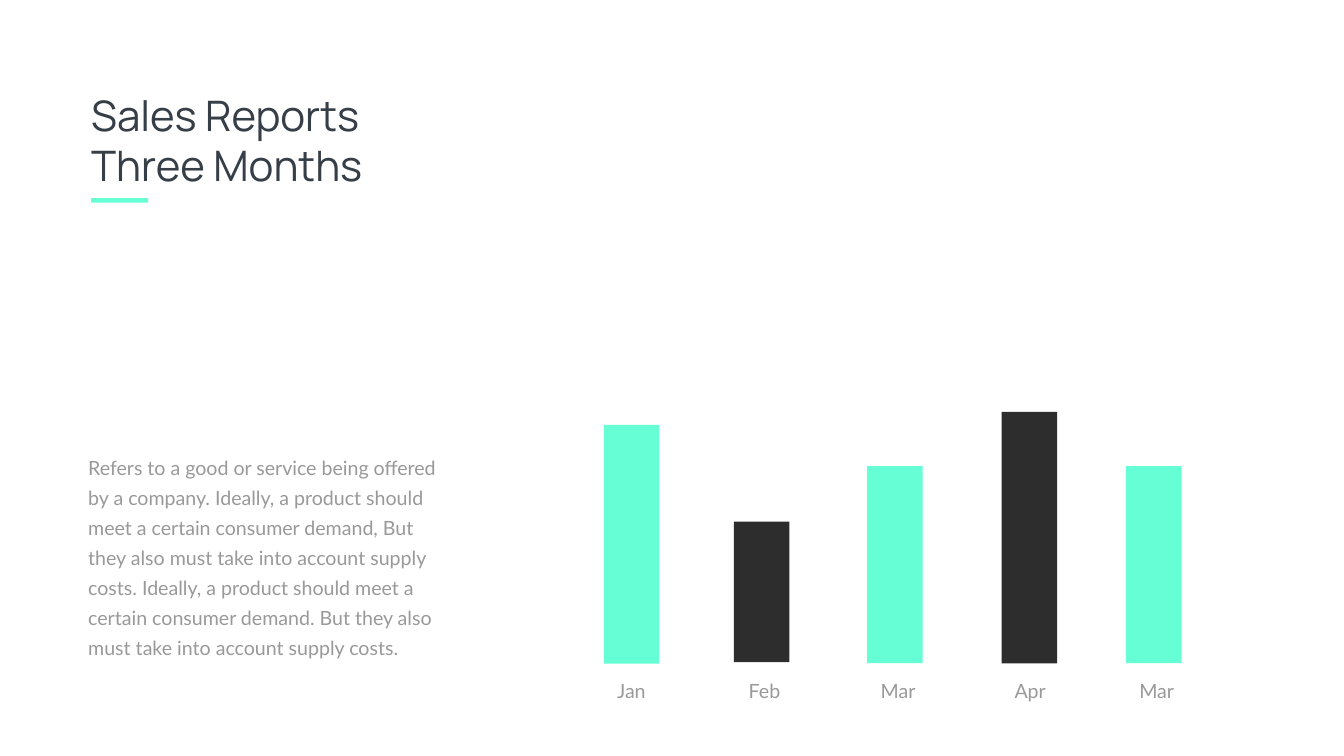
from dataclasses import dataclass

import pptx
import pptx.dml.color
import pptx.enum.shapes
import pptx.enum.text
import pptx.util
from pptx.util import Inches

MINT = "66FFD5"
CHARCOAL = "2C2D2C"
GREY = "999999"
SLATE = "363E48"

BAR_WIDTH = 1.1
LABEL_TOP, LABEL_WIDTH, LABEL_HEIGHT = 13.37, 1.69, 0.54


@dataclass
class Month:
    name: str
    bar_left: float
    bar_top: float
    bar_height: float
    label_left: float
    color: str


MONTHS = [
    Month("Jan", 11.98, 8.43, 4.74, 11.63, MINT),
    Month("Feb", 14.56, 10.35, 2.79, 14.27, CHARCOAL),
    Month("Mar", 17.2, 9.25, 3.91, 16.92, MINT),
    Month("Apr", 19.87, 8.17, 4.99, 19.54, CHARCOAL),
    Month("Mar", 22.34, 9.25, 3.91, 22.05, MINT),
]

DESCRIPTION = (
    "Refers to a good or service being offered by a company. Ideally, a product "
    "should meet a certain consumer demand, But they also must take into account "
    "supply costs. Ideally, a product should meet a certain consumer demand. But "
    "they also must take into account supply costs."
)


def rgb(color: str) -> pptx.dml.color.RGBColor:
    return pptx.dml.color.RGBColor.from_string(color)


def add_bar(page, left: float, top: float, width: float, height: float, color: str):
    bar = page.shapes.add_shape(
        pptx.enum.shapes.MSO_SHAPE.RECTANGLE,
        Inches(left), Inches(top), Inches(width), Inches(height),
    )
    bar.shadow.inherit = False
    bar.fill.solid()
    bar.fill.fore_color.rgb = rgb(color)
    bar.line.fill.background()


def add_text(page, text: str, left: float, top: float, width: float, height: float,
             margins: tuple[float, float, float, float] = (0.1, 0.05, 0.1, 0.05),
             font: str = "Lato", size: float = 28, color: str = GREY):
    """Add a wrapped one-paragraph box; margins run left, top, right, bottom."""
    box = page.shapes.add_textbox(Inches(left), Inches(top), Inches(width), Inches(height))
    frame = box.text_frame
    frame.word_wrap = True
    frame.margin_left, frame.margin_top, frame.margin_right, frame.margin_bottom = map(
        Inches, margins)
    frame.text = text
    for span in frame.paragraphs[0].runs:
        span.font.name = font
        span.font.size = pptx.util.Pt(size)
        span.font.color.rgb = rgb(color)
    return box


def add_month(page, month: Month):
    add_bar(page, month.bar_left, month.bar_top, BAR_WIDTH, month.bar_height, month.color)
    label = add_text(page, month.name, month.label_left, LABEL_TOP, LABEL_WIDTH,
                     LABEL_HEIGHT, margins=(0.1, 0, 0, 0))
    label.text_frame.vertical_anchor = pptx.enum.text.MSO_ANCHOR.MIDDLE
    para = label.text_frame.paragraphs[0]
    para.alignment = pptx.enum.text.PP_ALIGN.CENTER
    para.line_spacing = 1.3


def main():
    deck = pptx.Presentation()
    deck.slide_width, deck.slide_height = Inches(26.66), Inches(15)
    page = deck.slides.add_slide(deck.slide_layouts[6])

    add_text(page, "Sales Reports Three Months", 1.71, 1.72, 6.89, 2.12,
             font="Manrope", size=60, color=SLATE)
    add_bar(page, 1.81, 3.93, 1.13, 0.09, MINT)

    description = add_text(page, DESCRIPTION, 1.51, 8.79, 7.49, 4.39,
                           margins=(0.24, 0.12, 0.24, 0.12))
    description.text_frame.paragraphs[0].line_spacing = pptx.util.Pt(43)

    for month in MONTHS:
        add_month(page, month)

    deck.save("out.pptx")


if __name__ == "__main__":
    main()
